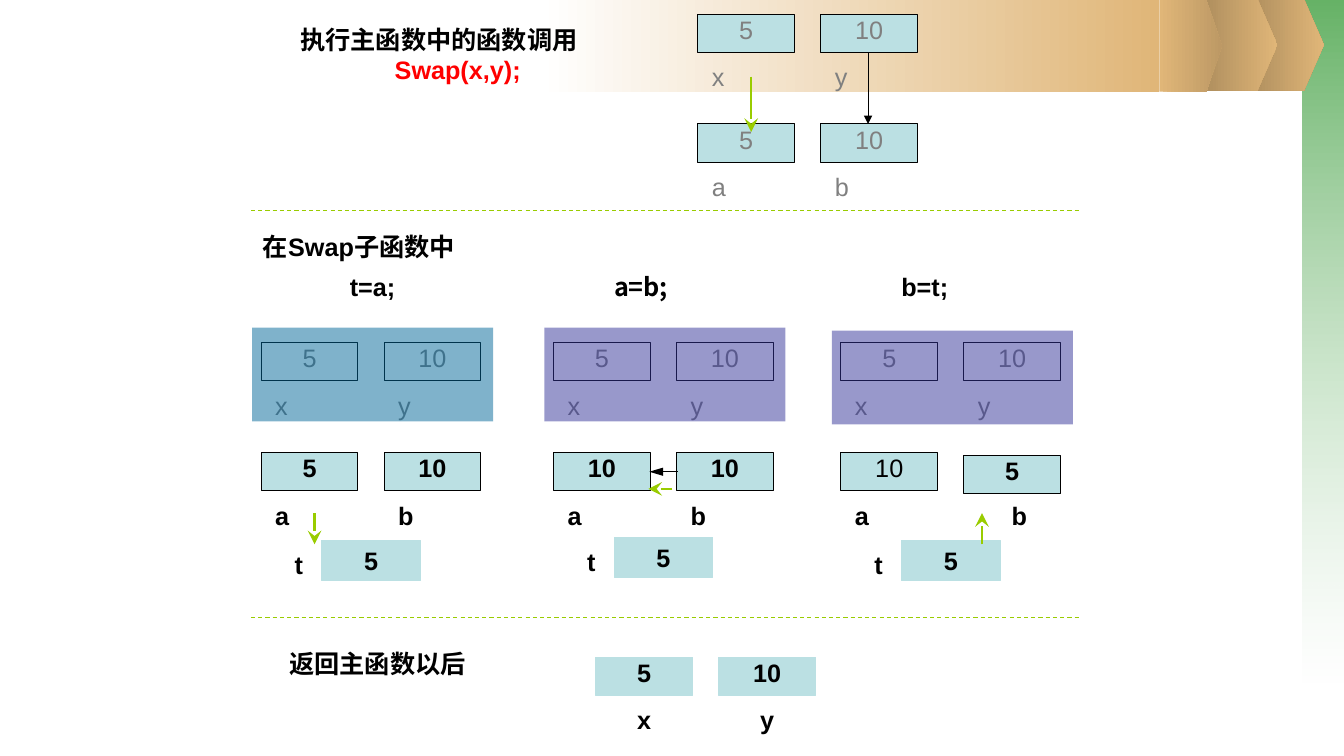
from lxml.etree import SubElement
from pptx import Presentation
from pptx.dml.color import RGBColor
from pptx.enum.dml import MSO_LINE
from pptx.enum.shapes import MSO_CONNECTOR, MSO_SHAPE
from pptx.enum.text import MSO_ANCHOR, PP_ALIGN
from pptx.oxml.ns import qn
from pptx.util import Pt

PX = 9144
CELL_WIDTH, CELL_HEIGHT, CELL_PITCH = 96, 38, 122
LABEL_DROP, LABEL_INDENT = 47, 14
LATIN, CHINESE = "Arial", "Noto Sans CJK SC"
BLACK, GREY, RED, WHITE = "000000", "808080", "FF0000", "FFFFFF"
PALE, GREEN = "BBE0E3", "99CC00"
TAN, BROWN, DARK_TAN = "E0B678", "AB8B5C", "BD9965"
LEFT, CENTER, JUSTIFY = PP_ALIGN.LEFT, PP_ALIGN.CENTER, PP_ALIGN.JUSTIFY


def colour(value):
    return RGBColor.from_string(value)


def emu(*lengths):
    return [length * PX for length in lengths]


def set_opacity(fill_element, percents):
    for element, percent in zip(fill_element.iter(qn("a:srgbClr")), percents):
        SubElement(element, qn("a:alpha"), val=str(percent * 1000))


def write(shape, lines, align=CENTER, bold=True, font=LATIN, margins=(0, 0, 0, 0)):
    frame = shape.text_frame
    frame.word_wrap = True
    frame.vertical_anchor = MSO_ANCHOR.TOP
    (frame.margin_left, frame.margin_top,
     frame.margin_right, frame.margin_bottom) = emu(*margins)
    for index, (text, ink, *other_align) in enumerate(lines):
        para = frame.add_paragraph() if index else frame.paragraphs[0]
        para.alignment = other_align[0] if other_align else align
        run = para.add_run()
        run.text = text
        run.font.size = Pt(18)
        run.font.bold = bold
        run.font.name = font
        run.font.color.rgb = colour(ink)
        SubElement(run.font._element, qn("a:ea"), typeface=CHINESE)


def add_text(page, box, lines, **style):
    write(page.shapes.add_textbox(*emu(*box)), lines, **style)


def add_block(page, box, fill=None, line=None, kind=MSO_SHAPE.RECTANGLE):
    shape = page.shapes.add_shape(kind, *emu(*box))
    shape.shadow.inherit = False
    if fill:
        shape.fill.solid()
        shape.fill.fore_color.rgb = colour(fill)
    if line:
        shape.line.color.rgb = colour(line)
        shape.line.width = Pt(0.75)
    else:
        shape.line.fill.background()
    return shape


def add_gradient(page, box, ends, angle=0, kind=MSO_SHAPE.RECTANGLE, opacity=()):
    shape = add_block(page, box, kind=kind)
    if kind == MSO_SHAPE.PENTAGON:
        shape.adjustments[0] = 0.25
    shape.fill.gradient()
    shape.fill.gradient_angle = angle
    for stop, end in zip(shape.fill.gradient_stops, ends):
        stop.color.rgb = colour(end)
    set_opacity(shape._element.spPr.find(qn("a:gradFill")), opacity)


def add_line(page, start, finish, ink, width=0.75, head=None, size=("med", "med"), dashed=False):
    line = page.shapes.add_connector(MSO_CONNECTOR.STRAIGHT, *emu(*start, *finish))
    line.line.color.rgb = colour(ink)
    line.line.width = Pt(width)
    if dashed:
        line.line.dash_style = MSO_LINE.DASH
    if head:
        SubElement(line.line._get_or_add_ln(), qn("a:tailEnd"),
                   type=head, w=size[0], len=size[1])
    SubElement(line._element.spPr, qn("a:effectLst"))


def add_copy_arrow(page, start, finish):
    add_line(page, start, finish, GREEN, 1.75, "stealth", ("lg", "lg"))


def add_variable(page, left, top, value, name, fill=PALE, line=BLACK, ink=BLACK,
                 bold=True, label_bold=True, align=LEFT, indent=LABEL_INDENT, drop=0):
    cell = add_block(page, (left, top + drop, CELL_WIDTH, CELL_HEIGHT), fill, line)
    write(cell, [(value, ink)], bold=bold)
    add_text(page, (left, top + LABEL_DROP, CELL_WIDTH, 24), [(name, ink)],
             align=align, bold=label_bold, margins=(indent, 0, 0, 0))


def add_pair(page, left, top, values, names, **style):
    for column, (value, name) in enumerate(zip(values, names)):
        add_variable(page, left + column * CELL_PITCH, top, value, name, **style)


def add_backdrop(page):
    add_gradient(page, (1292, 0, 41, 677), ("339933", WHITE), 270, opacity=(75, 37))
    for left in (1234, 1188):
        add_gradient(page, (left, -1, 79, 91), (BROWN, TAN), kind=MSO_SHAPE.PENTAGON)
    add_gradient(page, (536, 0, 614, 91), (WHITE, TAN))
    add_gradient(page, (1150, 0, 62, 91), (TAN, DARK_TAN), kind=MSO_SHAPE.PENTAGON)


def add_call(page, left, top):
    add_text(page, (left, top + 5, 332, 90),
             [("执行主函数中的函数调用", BLACK, JUSTIFY), ("Swap(x,y);", RED)],
             margins=(10, 5, 10, 5))
    cells = left + 404
    for row, names in enumerate(("xy", "ab")):
        add_pair(page, cells, top + row * 109, ("5", "10"), names,
                 ink=GREY, bold=False, label_bold=False)
    add_line(page, (cells + 169, top + 39), (cells + 169, top + 109), BLACK, head="triangle")
    add_copy_arrow(page, (cells + 53, top + 62), (cells + 53, top + 117))


def add_step(page, left, top, panel, panel_drop, command, command_left, first, second,
             temp_top, font=LATIN, first_style=None, second_style=None):
    add_text(page, (left + command_left, top, 83, 31), [(command, BLACK)],
             align=LEFT, font=font)
    add_pair(page, left, top + 71, ("5", "10"), "xy",
             fill=WHITE, ink=GREY, bold=False, label_bold=False)
    cover = add_block(page, (left - 9, top + 56 + panel_drop, 239, 93), panel)
    set_opacity(cover._element.spPr.find(qn("a:solidFill")), (50,))
    add_variable(page, left, top + 180, first, "a", **(first_style or {}))
    add_variable(page, left + CELL_PITCH, top + 180, second, "b", **(second_style or {}))
    temp = add_block(page, (left + 60, top + temp_top, 98, 40), PALE, PALE)
    write(temp, [("5", BLACK)], margins=(10, 5, 10, 5))
    add_text(page, (left + 19, top + temp_top + 9, 37, 31), [("t", BLACK)])


def add_swap(page, left, top):
    add_text(page, (left, top, 243, 46), [("在Swap子函数中", BLACK)],
             align=JUSTIFY, margins=(10, 5, 10, 5))
    steps = top + 44
    add_step(page, 259, steps, "006699", 0, "t=a;", 88, "5", "10", 267)
    add_step(page, 549, steps, "333399", 0, "a=b;", 60, "10", "10", 264, font=CHINESE)
    add_step(page, 834, steps, "333399", 3, "b=t;", 60, "10", "5", 267,
             first_style={"bold": False}, second_style={"align": CENTER, "drop": 3})
    add_line(page, (672, steps + 199), (644, steps + 199), BLACK,
             head="triangle", size=("med", "lg"))
    add_copy_arrow(page, (312, steps + 240), (312, steps + 271))
    add_copy_arrow(page, (974, steps + 271), (974, steps + 240))
    add_copy_arrow(page, (667, steps + 216), (643, steps + 216))


def add_result(page, left, top):
    add_text(page, (left, top, 236, 41), [("返回主函数以后", BLACK)],
             align=JUSTIFY, margins=(10, 5, 10, 5))
    add_pair(page, left + 314, top + 14, ("5", "10"), "xy",
             line=PALE, align=CENTER, indent=0)


def main():
    deck = Presentation()
    deck.slide_width, deck.slide_height = emu(1333, 750)
    page = deck.slides.add_slide(deck.slide_layouts[6])
    add_backdrop(page)
    add_call(page, 288, 14)
    add_swap(page, 251, 225)
    add_result(page, 277, 638)
    for height in (209, 613):
        add_line(page, (249, height), (1071, height), GREEN, dashed=True)
    deck.save("out.pptx")


if __name__ == "__main__":
    main()
